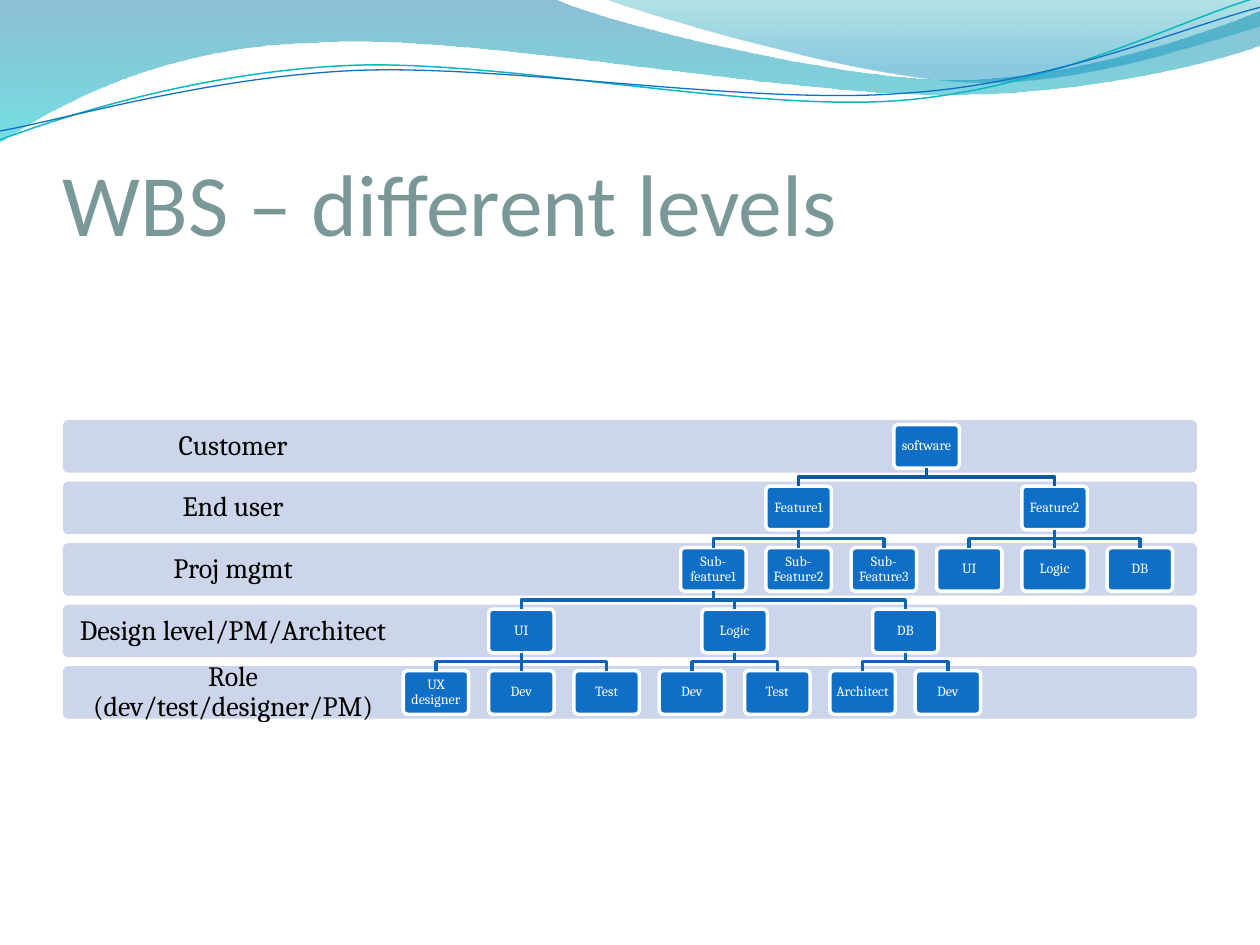
from lxml import etree
from pptx import Presentation
from pptx.dml.color import RGBColor
from pptx.enum.shapes import MSO_SHAPE
from pptx.enum.text import MSO_ANCHOR, PP_ALIGN
from pptx.oxml.ns import qn
from pptx.util import Cm, Pt

ROUNDED = MSO_SHAPE.ROUNDED_RECTANGLE
MIDDLE, BOTTOM = MSO_ANCHOR.MIDDLE, MSO_ANCHOR.BOTTOM
LEFT, CENTER = PP_ALIGN.LEFT, PP_ALIGN.CENTER

TITLE = "WBS – different levels"
LEVELS = ["Customer", "End user", "Proj mgmt", "Design level/PM/Architect",
          "Role (dev/test/designer/PM)"]
# Each work item: name, followed by its parts
WORK = ("software",
        ("Feature1",
         ("Sub-feature1",
          ("UI", ("UX designer",), ("Dev",), ("Test",)),
          ("Logic", ("Dev",), ("Test",)),
          ("DB", ("Architect",), ("Dev",))),
         ("Sub-Feature2",),
         ("Sub-Feature3",)),
        ("Feature2", ("UI",), ("Logic",), ("DB",)))

# Outlines in cm: a pair is a corner, six numbers are a Bézier curve.
# Gradient stops: position, colour, opacity in percent.
WAVES = [
    ([(-0.02, 0), (11.18, -0.02), (12.09, 0.43, 16.87, 1.6, 19.25, 1.6),
      (21.67, 1.6, 24.33, 0.66, 25.4, 0.23), (25.42, 0.91),
      (24.97, 1.12, 22.1, 1.93, 18.95, 1.91),
      (15.8, 1.91, 9.7, 0.71, 6.53, 0.86),
      (3.28, 0.91, 1.17, 2.11, -0.02, 2.87)],
     [(0, "0074A1", 45), (1, "00C6CF", 55)]),
    ([(12.17, -0.02), (12.93, 0.28, 17.32, 1.57, 19.53, 1.65),
      (21.74, 1.75, 24.41, 0.81, 25.4, 0.53), (25.4, 0)],
     [(0, "00A1A9", 30), (0.8, "008BBF", 45)]),
]
SWIRLS = [
    ([(0, 2.82), (1.22, 2.36, 4.01, 1.45, 7.04, 1.32),
      (10.03, 1.19, 15.06, 2.26, 18.11, 2.03),
      (21.16, 1.8, 23.83, 0.38, 25.35, -0.05)], "0AB8BF", 0.85),
    ([(0, 2.64), (1.19, 2.44, 4.17, 1.55, 7.19, 1.42),
      (10.24, 1.3, 15.16, 2.13, 18.21, 1.88),
      (21.23, 1.7, 23.9, 0.53, 25.4, 0.15)], "0F6FC6", 0.75),
]

BAND_LEFT, BAND_TOP, BAND_WIDTH, BAND_HEIGHT = 1.27, 8.47, 22.86, 1.06
LEVEL_PITCH = 1.24
LABEL_WIDTH = 6.86
FIRST_CENTER, ITEM_PITCH = 8.79, 1.72
ITEM_WIDTH, ITEM_HEIGHT, ITEM_OFFSET = 1.32, 0.88, 0.09

prs = Presentation()
prs.slide_width, prs.slide_height = Cm(25.4), Cm(19.05)
slide = prs.slides.add_slide(prs.slide_layouts[6])
shapes = slide.shapes


def rgb(color):
    return RGBColor.from_string(color)


def write(shape, text, size, font, color, margins, anchor=MIDDLE, align=CENTER, spacing=0.9):
    frame = shape.text_frame
    frame.word_wrap = True
    frame.vertical_anchor = anchor
    (frame.margin_left, frame.margin_top,
     frame.margin_right, frame.margin_bottom) = [Cm(m) for m in margins]
    paragraph = frame.paragraphs[0]
    paragraph.alignment = align
    paragraph.line_spacing = spacing
    run = paragraph.add_run()
    run.text = text
    run.font.size, run.font.name = Pt(size), font
    run.font.color.rgb = rgb(color)


def draw_outline(outline, close):
    """Build the outline from its end points, then bend the curved segments."""
    start, *ends = [(Cm(part[-2]), Cm(part[-1])) for part in outline]
    builder = shapes.build_freeform(*start)
    builder.add_line_segments(ends, close=close)
    shape = builder.convert_to_shape()
    shape.shadow.inherit = False
    segments = list(shape._element.iter(qn("a:lnTo")))
    for segment, part in zip(segments, outline[1:]):
        if len(part) == 2:
            continue
        segment.clear()
        curve = etree.Element(qn("a:cubicBezTo"))
        for x, y in zip(part[::2], part[1::2]):
            point = etree.SubElement(curve, qn("a:pt"))
            point.set("x", str(Cm(x) - shape.left))
            point.set("y", str(Cm(y) - shape.top))
        segment.getparent().replace(segment, curve)
    return shape


def draw_line(outline, color, width):
    line = draw_outline(outline, close=False)
    line.fill.background()
    line.line.color.rgb, line.line.width = rgb(color), Pt(width)


def draw_wave(outline, stops):
    wave = draw_outline(outline, close=True)
    wave.line.fill.background()
    wave.fill.gradient()
    wave.fill.gradient_angle = 270
    for stop, (position, color, _) in zip(wave.fill.gradient_stops, stops):
        stop.position, stop.color.rgb = position, rgb(color)
    colors = wave._element.spPr.find(qn("a:gradFill")).iter(qn("a:srgbClr"))
    for element, (_, _, opacity) in zip(list(colors), stops):
        etree.SubElement(element, qn("a:alpha")).set("val", str(opacity * 1000))


def rounded(left, top, width, height, fill):
    shape = shapes.add_shape(ROUNDED, Cm(left), Cm(top), Cm(width), Cm(height))
    shape.adjustments[0] = 0.1
    shape.shadow.inherit = False
    shape.fill.solid()
    shape.fill.fore_color.rgb = rgb(fill)
    return shape


def item_top(level):
    return BAND_TOP + ITEM_OFFSET + level * LEVEL_PITCH


def draw_item(item, level, free):
    """Draw an item over its parts; free holds the next open slot of each level."""
    name, *parts = item
    child_slots = [draw_item(part, level + 1, free) for part in parts]
    slot = (child_slots[0] + child_slots[-1]) / 2 if parts else free[level]
    free[level] = slot + 1
    center, top = FIRST_CENTER + slot * ITEM_PITCH, item_top(level)
    box = rounded(center - ITEM_WIDTH / 2, top, ITEM_WIDTH, ITEM_HEIGHT, "0F6FC6")
    box.line.color.rgb, box.line.width = rgb("FFFFFF"), Pt(2)
    write(box, name, 8, "Cambria", "FFFFFF", [0.1] * 4)
    for child_slot in child_slots:
        draw_branch(slot, child_slot, level)
    return slot


def draw_branch(slot, child_slot, level):
    x, child_x = [FIRST_CENTER + s * ITEM_PITCH for s in (slot, child_slot)]
    start, end = item_top(level) + ITEM_HEIGHT, item_top(level + 1)
    bend = (start + end) / 2
    bends = [(x, bend), (child_x, bend)] if slot != child_slot else []
    draw_line([(x, start), *bends, (child_x, end)], "0E65B4" if level else "0C599F", 2)


for outline, stops in WAVES:
    draw_wave(outline, stops)
for outline, color, width in SWIRLS:
    draw_line(outline, color, width)

title = shapes.add_textbox(Cm(1.27), Cm(1.95), Cm(22.86), Cm(3.18))
write(title, TITLE, 50, "Calibri", "7B9899", (0, 0.13, 0, 0), BOTTOM, LEFT, 1)

for row, label in enumerate(LEVELS):
    top = BAND_TOP + row * LEVEL_PITCH
    band = rounded(BAND_LEFT, top, BAND_WIDTH, BAND_HEIGHT, "CCD5EA")
    band.line.fill.background()
    caption = shapes.add_textbox(Cm(BAND_LEFT), Cm(top), Cm(LABEL_WIDTH), Cm(BAND_HEIGHT))
    write(caption, label, 16, "Cambria", "000000", [0.3] * 4)

draw_item(WORK, 0, [0] * len(LEVELS))

prs.save("out.pptx")
